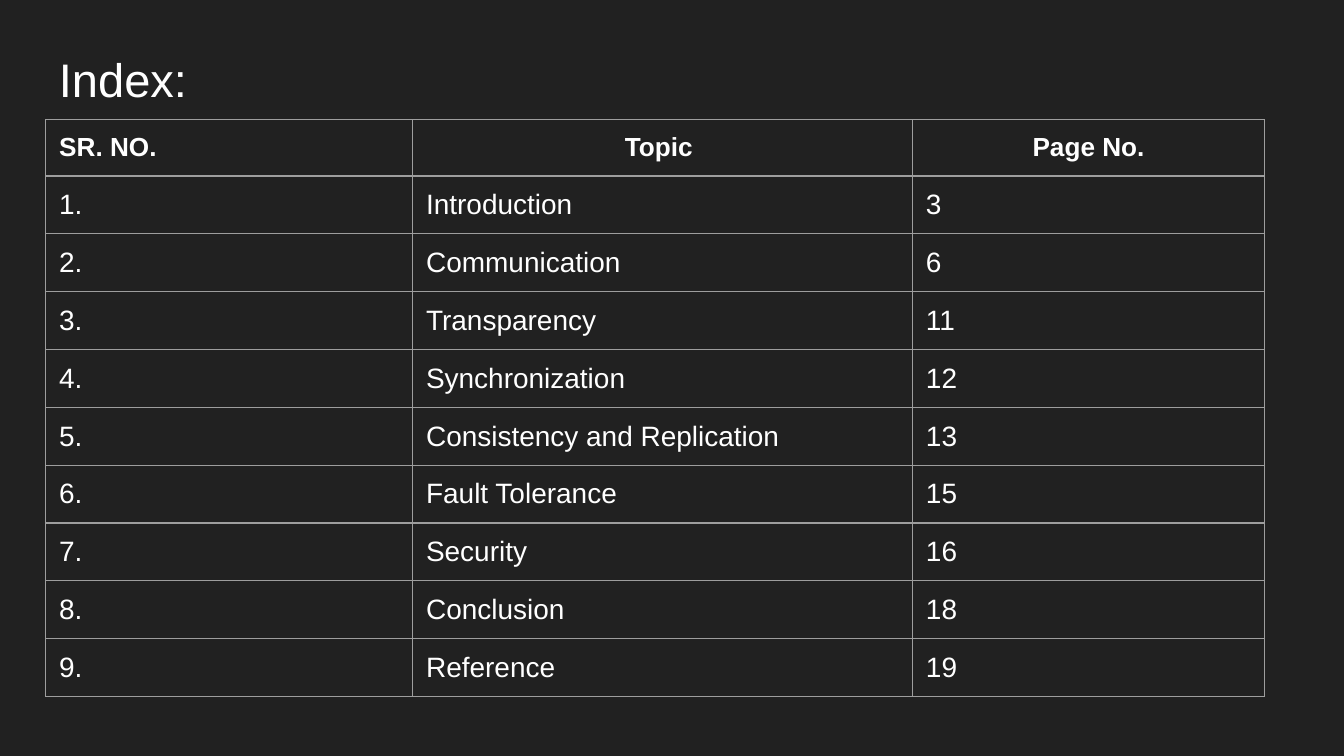
from lxml import etree
from pptx import Presentation, util as u
from pptx.dml.color import RGBColor
from pptx.enum import text
from pptx.oxml.ns import qn

COLORS = {"background": "212121", "text": "FFFFFF", "border": "9E9E9E"}
TOPICS = [
    ("Introduction", 3),
    ("Communication", 6),
    ("Transparency", 11),
    ("Synchronization", 12),
    ("Consistency and Replication", 13),
    ("Fault Tolerance", 15),
    ("Security", 16),
    ("Conclusion", 18),
    ("Reference", 19),
]
SLIDE_WIDTH = 10
COLUMN_WIDTHS = [2.73, 3.72, 2.62]
ROW_HEIGHT = 0.42
LEFT, TITLE_TOP, TABLE_TOP = 0.34, 0.27, 0.89
PADDING = u.Inches(0.1)
CELL_BOTTOM_PADDING = u.Inches(0.08)


def write(frame, words, size=15, bold=False, align=text.PP_ALIGN.LEFT):
    paragraph = frame.paragraphs[0]
    paragraph.alignment = align
    run = paragraph.add_run()
    run.text = words
    run.font.name = "Arial"
    run.font.size = u.Pt(size)
    run.font.bold = bold
    run.font.color.rgb = RGBColor.from_string(COLORS["text"])


def add_borders(cell):
    properties = cell._tc.get_or_add_tcPr()
    for position, side in enumerate(("lnL", "lnR", "lnT", "lnB")):
        line = etree.Element(qn(f"a:{side}"), w=str(u.Pt(0.75)))
        fill = etree.SubElement(line, qn("a:solidFill"))
        etree.SubElement(fill, qn("a:srgbClr"), val=COLORS["border"])
        properties.insert(position, line)


presentation = Presentation()
presentation.slide_width = u.Inches(SLIDE_WIDTH)
presentation.slide_height = u.Inches(SLIDE_WIDTH * 9 / 16)
slide = presentation.slides.add_slide(presentation.slide_layouts[6])
slide.background.fill.solid()
slide.background.fill.fore_color.rgb = RGBColor.from_string(COLORS["background"])

title = slide.shapes.add_textbox(
    u.Inches(LEFT), u.Inches(TITLE_TOP), u.Inches(SLIDE_WIDTH - 2 * LEFT), u.Inches(0.63)
).text_frame
title.word_wrap = True
title.margin_left = title.margin_right = PADDING
title.margin_top = title.margin_bottom = PADDING
title.vertical_anchor = text.MSO_ANCHOR.MIDDLE
write(title, "Index:", size=25.2)

rows = [("SR. NO.", "Topic ", "Page No.")]
rows += [(f"{number}.", topic, str(page)) for number, (topic, page) in enumerate(TOPICS, 1)]
index = slide.shapes.add_table(
    len(rows), len(COLUMN_WIDTHS), u.Inches(LEFT), u.Inches(TABLE_TOP),
    u.Inches(sum(COLUMN_WIDTHS)), u.Inches(ROW_HEIGHT * len(rows)),
).table
index.horz_banding = False
for column, width in zip(index.columns, COLUMN_WIDTHS):
    column.width = u.Inches(width)

for r, row in enumerate(rows):
    index.rows[r].height = u.Inches(ROW_HEIGHT)
    for c, words in enumerate(row):
        cell = index.cell(r, c)
        cell.fill.background()
        cell.margin_left = cell.margin_right = cell.margin_top = PADDING
        cell.margin_bottom = CELL_BOTTOM_PADDING
        header = r == 0
        centred = header and c > 0
        write(
            cell.text_frame, words, size=14 if header else 15, bold=header,
            align=text.PP_ALIGN.CENTER if centred else text.PP_ALIGN.LEFT,
        )
        add_borders(cell)

presentation.save("out.pptx")
